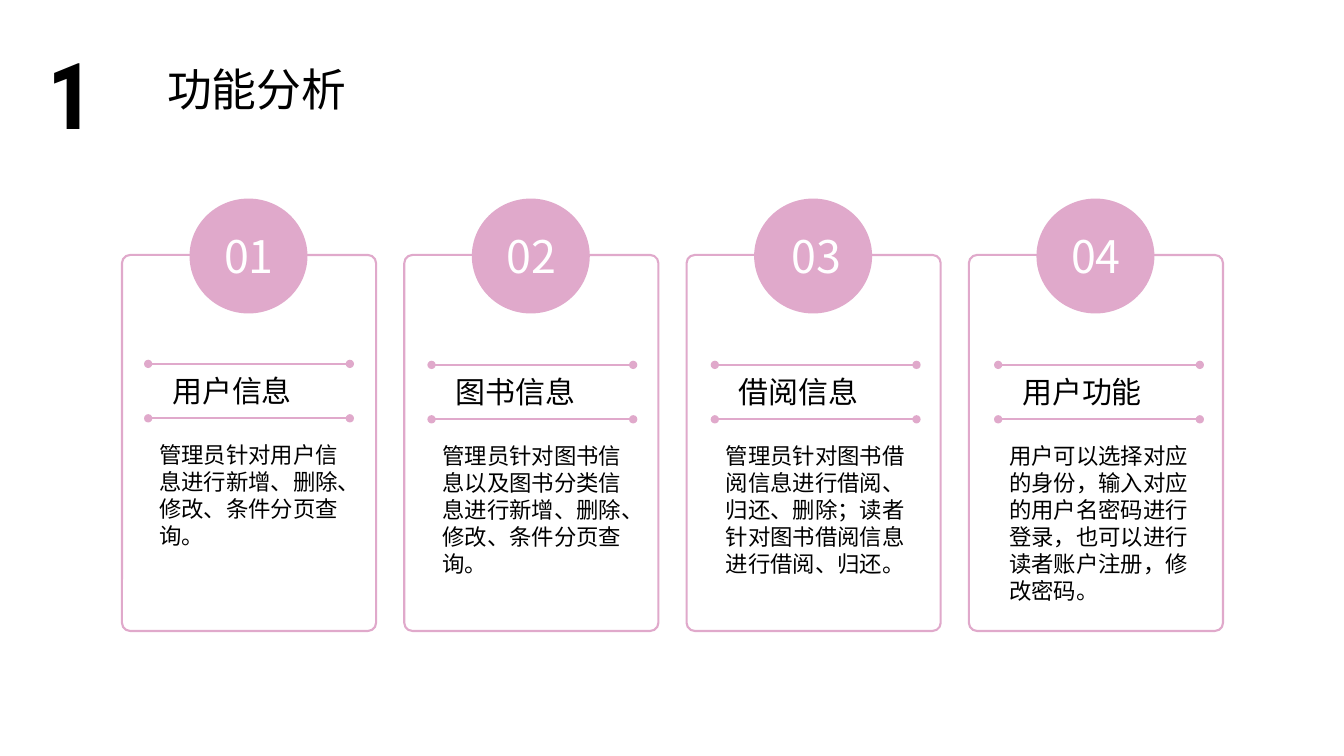
from lxml.etree import SubElement
from pptx import Presentation
from pptx.dml.color import RGBColor
from pptx.enum.shapes import MSO_CONNECTOR, MSO_SHAPE
from pptx.enum.text import MSO_ANCHOR, MSO_AUTO_SIZE, PP_ALIGN
from pptx.oxml.ns import qn
from pptx.util import Inches, Pt

PINK, BLACK, WHITE = "E0A9CB", "000000", "FFFFFF"
SANS, BODY, HEAD = "Noto Sans CJK SC", "Calibri", "Roboto Condensed"
CARDS = [
    ("用户信息", "管理员针对用户信息进行新增、删除、修改、条件分页查询。", 3.61, 1.18, 0),
    ("图书信息", "管理员针对图书信息以及图书分类信息进行新增、删除、修改、条件分页查询。", 3.62, 1.45, 0),
    ("借阅信息", "管理员针对图书借阅信息进行借阅、归还、删除；读者针对图书借阅信息进行借阅、归还。", 3.62, 1.45, 0.03),
    ("用户功能", "用户可以选择对应的身份，输入对应的用户名密码进行登录，也可以进行读者账户注册，修改密码。", 3.62, 1.72, 0),
]


def color(code):
    return RGBColor.from_string(code)


def apply(target, **values):
    for name, value in values.items():
        setattr(target, name, value)


class Deck:
    """Holds the slide and draws its styled elements."""

    def __init__(self, show):
        self.slide = show.slides.add_slide(show.slide_layouts[6])
        self.shapes = self.slide.shapes

    def text(self, words, box, size, face=SANS, ink=BLACK, bold=None,
             align=None, **frame):
        area = self.shapes.add_textbox(*map(Inches, box)).text_frame
        apply(area, **{"word_wrap": True, "auto_size": MSO_AUTO_SIZE.SHAPE_TO_FIT_TEXT, **frame})
        line = area.paragraphs[0]
        line.alignment = align
        run = line.add_run()
        run.text = words
        run.font.color.rgb = color(ink)
        apply(run.font, size=Pt(size), name=face, bold=bold)
        SubElement(run.font._element, qn("a:ea"), typeface=face)

    def frame(self, box):
        card = self.shapes.add_shape(MSO_SHAPE.ROUNDED_RECTANGLE, *map(Inches, box))
        card.adjustments[0] = 0.032
        card.shadow.inherit = False
        card.fill.background()
        card.line.color.rgb = color(PINK)
        card.line.width = Pt(1.5)

    def disc(self, box):
        disc = self.shapes.add_shape(MSO_SHAPE.OVAL, *map(Inches, box))
        disc.shadow.inherit = False
        disc.fill.solid()
        disc.fill.fore_color.rgb = color(PINK)
        disc.line.fill.background()

    def rule(self, left, top, width):
        ends = map(Inches, (left, top, left + width, top))
        rule = self.shapes.add_connector(MSO_CONNECTOR.STRAIGHT, *ends)
        rule.line.color.rgb = color(PINK)
        rule.line.width = Pt(1.5)
        for end in ("a:headEnd", "a:tailEnd"):
            SubElement(rule.line._get_or_add_ln(), qn(end), type="oval")
        SubElement(rule._element.spPr, qn("a:effectLst"))


def main():
    show = Presentation()
    apply(show, slide_width=Inches(13.33), slide_height=Inches(7.5))
    deck = Deck(show)
    deck.text("1", (0.37, 0.32, 0.91, 1.21), 66, HEAD, bold=True, align=PP_ALIGN.JUSTIFY)
    deck.text("功能分析", (1.56, 0.56, 2.94, 0.64), 32, align=PP_ALIGN.JUSTIFY)
    for i, (title, body, top, height, shift) in enumerate(CARDS):
        left, inner = 1.21 + 2.8 * i, 1.47 + 2.81 * i
        deck.frame((left, 2.53, 2.52, 3.73))
        deck.disc((left + 0.67, 1.97, 1.17, 1.14))
        deck.text(f"{i + 1:02}", (left + 0.91 + shift, 2.22, 0.7, 0.64), 32, ink=WHITE,
                  align=PP_ALIGN.CENTER, word_wrap=False, vertical_anchor=MSO_ANCHOR.MIDDLE)
        for drop in (0, 0.54):
            deck.rule(inner, top + drop, 2)
        deck.text(title, (inner + 0.14, top + 0.04, 1.73, 0.46), 21.4, align=PP_ALIGN.JUSTIFY)
        deck.text(body, (inner + 0.01, top + 0.72, 2.12, height), 16, BODY)
    show.save("out.pptx")


if __name__ == "__main__":
    main()
